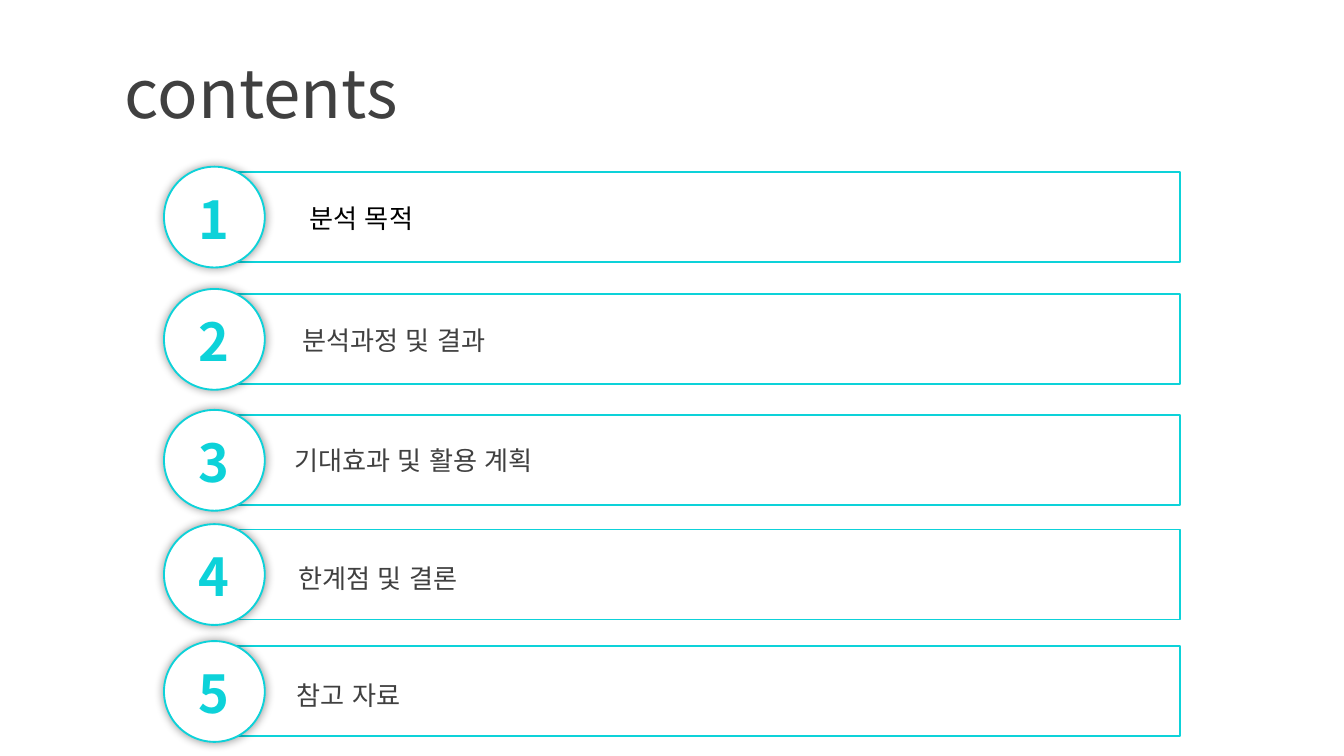
from dataclasses import dataclass

from lxml.etree import SubElement
from pptx import Presentation
from pptx.dml.color import RGBColor
from pptx.enum.lang import MSO_LANGUAGE_ID
from pptx.enum.shapes import MSO_SHAPE
from pptx.enum.text import MSO_ANCHOR, MSO_AUTO_SIZE, PP_ALIGN
from pptx.oxml.ns import qn
from pptx.shapes.autoshape import Shape
from pptx.slide import Slide
from pptx.util import Inches, Pt


@dataclass(frozen=True)
class Theme:
    font: str = "Noto Sans CJK KR"
    accent: str = "0DD2D9"
    text: str = "404040"
    black: str = "000000"
    white: str = "FFFFFF"
    title_size: int = 36
    number_size: int = 28
    label_size: int = 14
    line_width: int = 1
    shadow_blur: int = 5
    shadow_opacity: int = 40


@dataclass(frozen=True)
class Entry:
    label: str
    top: float
    label_left: float
    label_top: float
    color: str


THEME = Theme()

# Table of contents: each top is that of the number badge
ENTRIES = [
    Entry(" 분석 목적", 1.24, 2.15, 1.45, THEME.black),
    Entry("분석과정 및 결과", 2.15, 2.15, 2.36, THEME.text),
    Entry("기대효과 및 활용 계획", 3.05, 2.09, 3.25, THEME.text),
    Entry("한계점 및 결론", 3.90, 2.12, 4.13, THEME.text),
    Entry("참고 자료", 4.77, 2.11, 5.00, THEME.text),
]


def add_text(page: Slide, text: str, left: float, top: float, width: float,
             height: float, size: int, color: str, bold: bool = False,
             align: PP_ALIGN = PP_ALIGN.LEFT,
             fit: MSO_AUTO_SIZE = MSO_AUTO_SIZE.SHAPE_TO_FIT_TEXT) -> None:
    box = page.shapes.add_textbox(
        Inches(left), Inches(top), Inches(width), Inches(height))
    frame_format = {"word_wrap": True, "auto_size": fit,
                    "vertical_anchor": MSO_ANCHOR.MIDDLE}
    for name, value in frame_format.items():
        setattr(box.text_frame, name, value)
    para = box.text_frame.paragraphs[0]
    para.alignment = align
    span = para.add_run()
    span.text = text
    font_format = {"name": THEME.font, "size": Pt(size), "bold": bold,
                   "language_id": MSO_LANGUAGE_ID.KOREAN}
    for name, value in font_format.items():
        setattr(span.font, name, value)
    span.font.color.rgb = RGBColor.from_string(color)
    # Korean glyphs take the East Asian typeface
    SubElement(span.font._element, qn("a:ea"), typeface=THEME.font)


def add_outlined(page: Slide, kind: MSO_SHAPE, left: float, top: float,
                 width: float, height: float) -> Shape:
    shape = page.shapes.add_shape(
        kind, Inches(left), Inches(top), Inches(width), Inches(height))
    shape.shadow.inherit = False
    shape.fill.background()
    shape.line.color.rgb = RGBColor.from_string(THEME.accent)
    shape.line.width = Pt(THEME.line_width)
    return shape


def add_glow_shadow(shape: Shape) -> None:
    effects = shape._element.spPr.find(qn("a:effectLst"))
    shadow = SubElement(effects, qn("a:outerShdw"),
                        blurRad=str(Pt(THEME.shadow_blur)), dist="0", dir="0",
                        algn="ctr", rotWithShape="0")
    color = SubElement(shadow, qn("a:srgbClr"), val=THEME.black)
    SubElement(color, qn("a:alpha"), val=str(THEME.shadow_opacity * 1000))


def add_entry(page: Slide, number: int, entry: Entry) -> None:
    # Bar and label
    add_outlined(page, MSO_SHAPE.RECTANGLE, 1.59, entry.top + 0.04, 7.19, 0.67)
    add_text(page, entry.label, entry.label_left, entry.label_top, 6.28, 0.34,
             THEME.label_size, entry.color)
    # Number badge
    badge = add_outlined(page, MSO_SHAPE.OVAL, 1.22, entry.top, 0.75, 0.75)
    badge.fill.solid()
    badge.fill.fore_color.rgb = RGBColor.from_string(THEME.white)
    add_glow_shadow(badge)
    add_text(page, str(number), 1.36, entry.top + 0.10, 0.47, 0.57,
             THEME.number_size, THEME.accent, bold=True, align=PP_ALIGN.CENTER)


def main() -> None:
    deck = Presentation()
    # Widescreen, 16 to 9
    deck.slide_width, deck.slide_height = Inches(10), Inches(10 * 9 / 16)
    page = deck.slides.add_slide(deck.slide_layouts[6])

    # Title
    add_text(page, "contents", 0.83, 0.37, 9.17, 0.63, THEME.title_size,
             THEME.text, fit=MSO_AUTO_SIZE.NONE)

    # Numbered entries
    for number, entry in enumerate(ENTRIES, start=1):
        add_entry(page, number, entry)

    deck.save("out.pptx")


if __name__ == "__main__":
    main()
